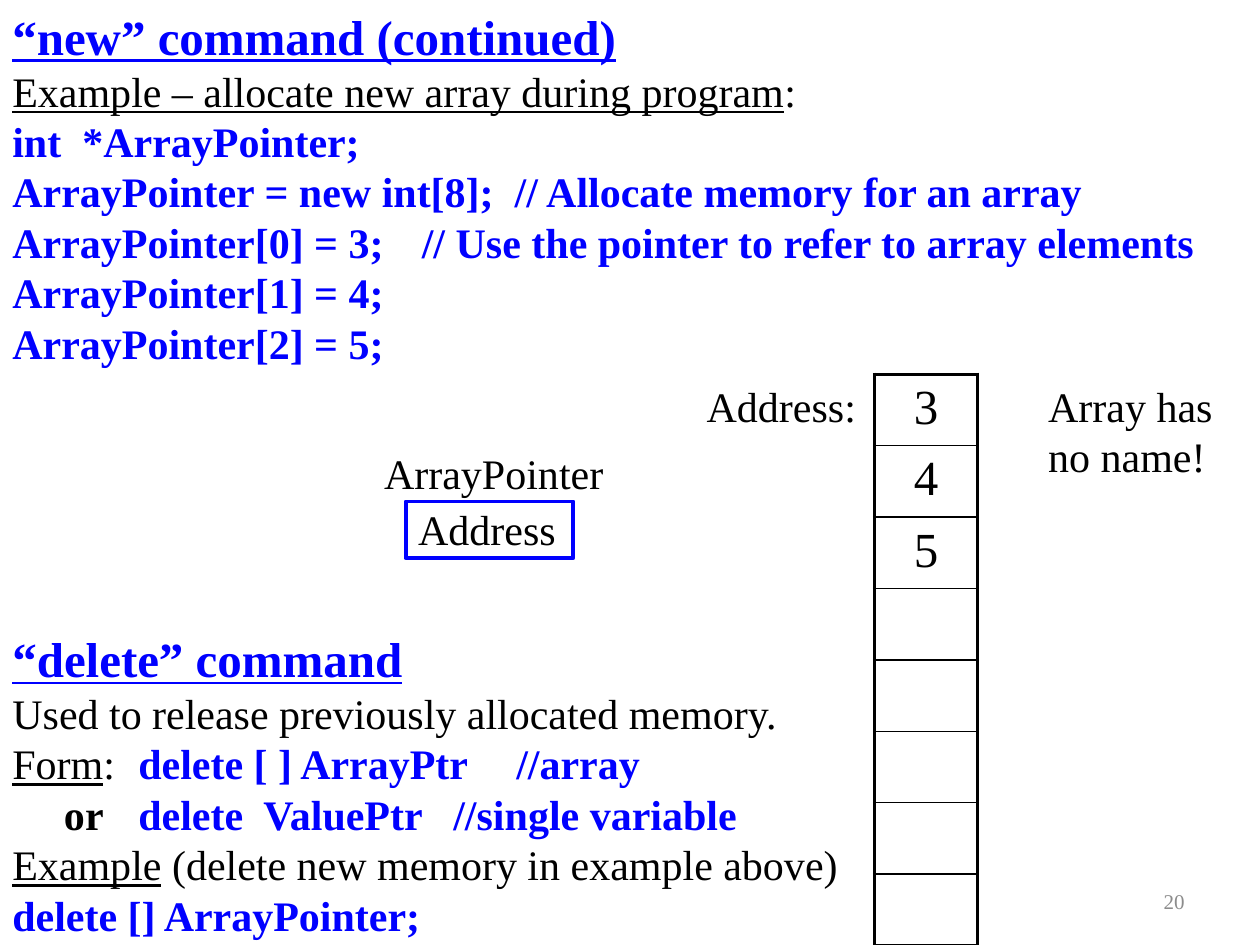
"""Build the slide on the C++ "new" and "delete" commands."""
import pptx
import pptx.dml.color
import pptx.enum.shapes
import pptx.enum.text
import pptx.oxml.ns
import pptx.util
from lxml import etree

RGB = pptx.dml.color.RGBColor
BLUE = RGB(0x00, 0x00, 0xFF)
BLACK = RGB(0x00, 0x00, 0x00)
GREY = RGB(0x8C, 0x8C, 0x8C)
FONT = "Times New Roman"
ALIGN = pptx.enum.text.PP_ALIGN
COLS, ROWS = 100, 75
WIDE, HIGH = pptx.util.Inches(10), pptx.util.Inches(7.5)
STOPS = (0.51, 0.88, 3.32, 4)
FORMS = (0.98, 3.81)

HEAD = (28, BLUE, True, True)
CODE = (24, BLUE, True, False)
BOLD = (24, BLACK, True, False)
BODY = (24, BLACK, False, False)
LINK = (24, BLACK, False, True)
CELL = (28, BLACK, False, False)
PAGE = (12, GREY, False, False)

NEW = [
    [("“new” command (continued)", HEAD)],
    [("Example – allocate new array during program", LINK), (":", BODY)],
    [("int  *ArrayPointer;", CODE)],
    [("ArrayPointer = new int[8];  // Allocate memory for an array", CODE)],
    [("ArrayPointer[0] = 3;\t// Use the pointer to refer to array elements", CODE)],
    [("ArrayPointer[1] = 4;", CODE)],
    [("ArrayPointer[2] = 5;", CODE)],
]
DELETE = [
    [("“delete” command", HEAD)],
    [("Used to release previously allocated memory.", BODY)],
    [("Form", LINK), (":\t", BODY), ("delete [ ] ArrayPtr\t//array", CODE)],
    [("or\t", BOLD), ("delete  ValuePtr\t//single variable", CODE)],
    [("Example", LINK), (" (delete new memory in example above)", BODY)],
    [("delete [] ArrayPointer;", CODE)],
]


def place(col, row, wide, high):
    """Turn grid columns and rows into slide lengths."""
    x, y = WIDE / COLS, HIGH / ROWS
    return int(col * x), int(row * y), int(wide * x), int(high * y)


def style(run, look):
    """Give a run its size, colour, weight and underline."""
    font = run.font
    font.name = FONT
    font.size = pptx.util.Pt(look[0])
    font.color.rgb = look[1]
    font.bold, font.underline = look[2:]


def indent(para, left, first, stops):
    """Set the margin, first line indent and tab stops of a paragraph."""
    props = para._p.get_or_add_pPr()
    props.set("marL", str(pptx.util.Inches(left)))
    props.set("indent", str(pptx.util.Inches(first)))
    tabs = etree.SubElement(props, pptx.oxml.ns.qn("a:tabLst"))
    for stop in stops:
        etree.SubElement(tabs, pptx.oxml.ns.qn("a:tab"),
                         pos=str(pptx.util.Inches(stop)), algn="l")


def notes(slide, spot, lines):
    """Add a block of text whose lines mix several looks."""
    frame = slide.shapes.add_textbox(*place(*spot)).text_frame
    frame.word_wrap = True
    for num, line in enumerate(lines):
        para = frame.add_paragraph() if num else frame.paragraphs[0]
        if "\t//" in line[-1][0] and len(line) > 1:
            indent(para, 0, 0.41 if line[0][1] == BOLD else 0, FORMS)
        else:
            indent(para, 0.25, -0.25, STOPS)
        for text, look in line:
            run = para.add_run()
            run.text = text
            style(run, look)


def label(shape, text):
    """Write tight lines of label text into a shape."""
    frame = shape.text_frame
    frame.text = text
    frame.word_wrap = False
    frame.margin_top = pptx.util.Inches(0.09)
    frame.vertical_anchor = pptx.enum.text.MSO_ANCHOR.TOP
    for num, para in enumerate(frame.paragraphs):
        para.alignment = ALIGN.LEFT
        para.line_spacing = 0.8
        if num:
            para.space_before = pptx.util.Pt(5.5)
        style(para.runs[0], BODY)


def box(slide, spot, text):
    """Add a blue outlined box that holds a value."""
    kind = pptx.enum.shapes.MSO_SHAPE.RECTANGLE
    shape = slide.shapes.add_shape(kind, *place(*spot))
    shape.shadow.inherit = False
    shape.fill.background()
    shape.line.color.rgb = BLUE
    shape.line.width = pptx.util.Pt(2.25)
    label(shape, text)


def border(cell, sides):
    """Draw black cell borders, given a width in points for each side."""
    props = cell._tc.get_or_add_tcPr()
    for num, (side, width) in enumerate(sides.items()):
        line = etree.Element(pptx.oxml.ns.qn("a:ln" + side),
                             w=str(pptx.util.Pt(width)))
        fill = etree.SubElement(line, pptx.oxml.ns.qn("a:solidFill"))
        etree.SubElement(fill, pptx.oxml.ns.qn("a:srgbClr"), val=str(BLACK))
        props.insert(num, line)


def array(slide, spot, items):
    """Add a one-column table of array elements."""
    count = len(items)
    grid = slide.shapes.add_table(count, 1, *place(*spot)).table
    grid.first_row = grid.horz_banding = False
    for num, item in enumerate(items):
        cell = grid.cell(num, 0)
        cell.fill.background()
        cell.text_frame.text = item
        para = cell.text_frame.paragraphs[0]
        para.alignment = ALIGN.CENTER
        for run in para.runs:
            style(run, CELL)
        border(cell, {"L": 2.25, "R": 2.25,
                      "T": 1 if num else 2.25,
                      "B": 1 if num < count - 1 else 2.25})


def number(slide, spot, text):
    """Add the page number."""
    frame = slide.shapes.add_textbox(*place(*spot)).text_frame
    frame.text = text
    frame.word_wrap = True
    frame.vertical_anchor = pptx.enum.text.MSO_ANCHOR.MIDDLE
    frame.paragraphs[0].alignment = ALIGN.RIGHT
    style(frame.paragraphs[0].runs[0], PAGE)


def main():
    """Build and save the slide."""
    deck = pptx.Presentation()
    deck.slide_width, deck.slide_height = WIDE, HIGH
    slide = deck.slides.add_slide(deck.slide_layouts[6])
    notes(slide, (0, 0, 100, 29.9), NEW)
    box(slide, (32.2, 39.8, 13.3, 4.5), "Address")
    for spot, text in (
        ((29.5, 35.4, 19.4, 4.2), "ArrayPointer"),
        ((82.2, 30.1, 15.1, 8.2), "Array has\nno name!"),
        ((55.1, 30.1, 13.9, 4.2), "Address:"),
    ):
        label(slide.shapes.add_textbox(*place(*spot)), text)
    array(slide, (69.4, 29.7, 8.2, 45.3), ["3", "4", "5"] + [""] * 5)
    notes(slide, (0, 49.4, 69.4, 25.6), DELETE)
    number(slide, (71.7, 69.5, 23.3, 4), "20")
    deck.save("out.pptx")


if __name__ == "__main__":
    main()
